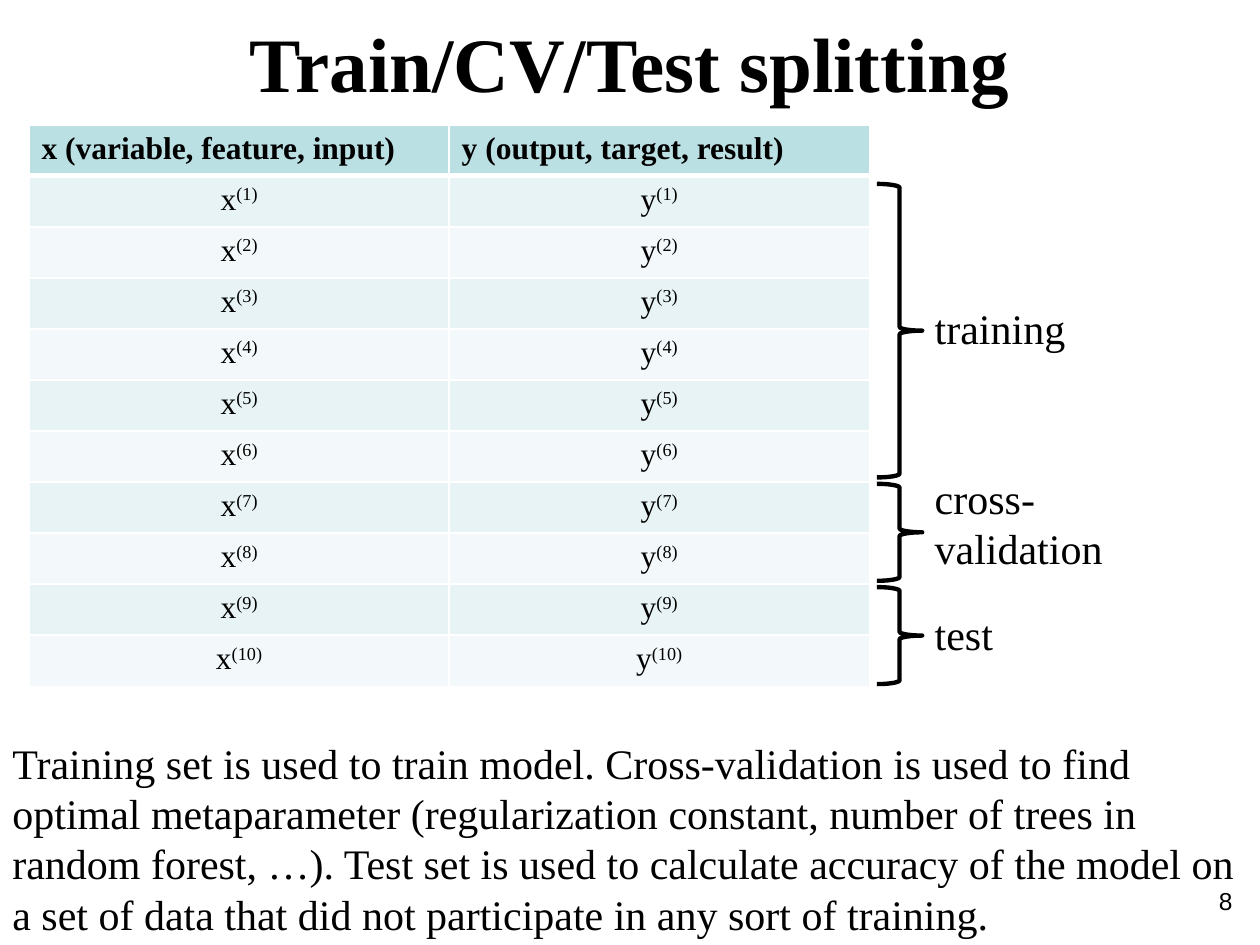
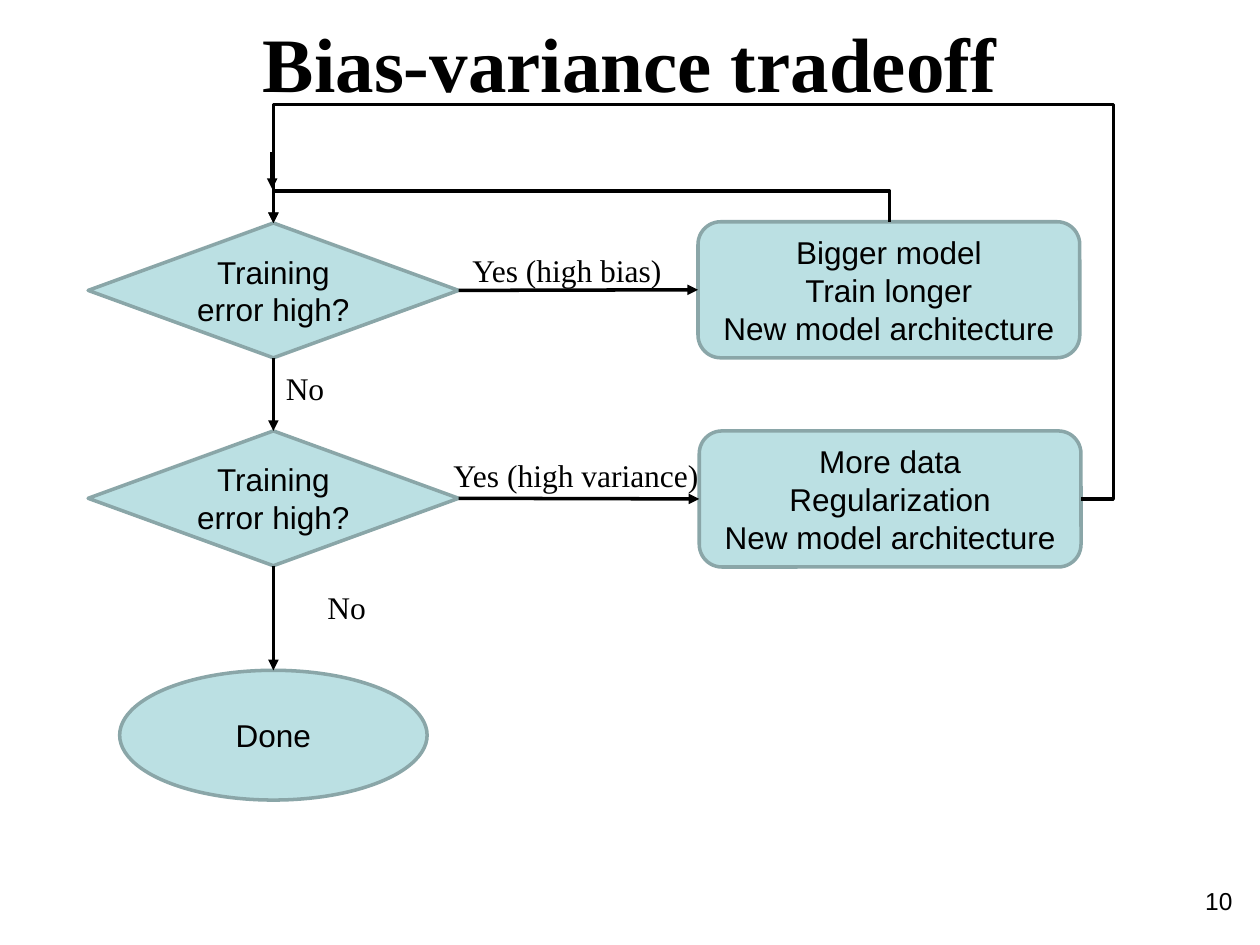
from dataclasses import dataclass

from lxml import etree
from pptx import Presentation
from pptx.dml.color import RGBColor
from pptx.enum.shapes import MSO_CONNECTOR, MSO_SHAPE
from pptx.enum.text import MSO_ANCHOR, MSO_AUTO_SIZE, PP_ALIGN
from pptx.oxml.ns import qn
from pptx.shapes.autoshape import Shape
from pptx.shapes.connector import Connector
from pptx.slide import Slide
from pptx.table import _Cell
from pptx.text.text import _Paragraph
from pptx.util import Inches, Pt

LEFT, CENTER, RIGHT = PP_ALIGN.LEFT, PP_ALIGN.CENTER, PP_ALIGN.RIGHT
TOP, MIDDLE = MSO_ANCHOR.TOP, MSO_ANCHOR.MIDDLE
DIAMOND, ELLIPSE = MSO_SHAPE.DIAMOND, MSO_SHAPE.OVAL
ROUNDED, BRACE = MSO_SHAPE.ROUNDED_RECTANGLE, MSO_SHAPE.RIGHT_BRACE
STRAIGHT, ELBOW = MSO_CONNECTOR.STRAIGHT, MSO_CONNECTOR.ELBOW
SITE_TOP, SITE_BOTTOM, SITE_RIGHT, SITE_LEFT = 0, 2, 3, 1

COLORS = {
    "ink": "000000",
    "grid": "FFFFFF",
    "accent": "BBE0E3",
    "outline": "8AA6A8",
    "band_dark": "E7F3F4",
    "band_light": "F3F9FA",
}
SERIF, SANS = "Times New Roman", "Arial"
TITLE_ONLY_LAYOUT = 5


@dataclass(frozen=True)
class Box:
    """A rectangle in inches."""
    left: float
    top: float
    width: float
    height: float

    def lengths(self) -> tuple:
        """Return the four lengths for python-pptx."""
        return tuple(Inches(v) for v in
                     (self.left, self.top, self.width, self.height))


@dataclass(frozen=True)
class Subset:
    """A part of the data set: its brace and its label."""
    name: str
    brace_top: float
    brace_height: float
    label_top: float
    label_height: float


@dataclass(frozen=True)
class Step:
    """A node of the flowchart."""
    kind: int
    box: Box
    lines: tuple[str, ...]


@dataclass(frozen=True)
class Caption:
    """A label beside a flowchart arrow."""
    text: str
    box: Box


@dataclass(frozen=True)
class Route:
    """Geometry of an elbow arrow that loops back."""
    preset: str
    box: Box
    turn: int
    bends: tuple[float, ...]


def color(name: str) -> RGBColor:
    """Look up a palette colour."""
    return RGBColor.from_string(COLORS[name])


def add_run(paragraph: _Paragraph, text: str, size: float, font: str = SERIF,
            bold: bool = False, raised: bool = False) -> None:
    """Append one formatted run, as a superscript if raised."""
    run = paragraph.add_run()
    run.text = text
    run.font.size, run.font.name, run.font.bold = Pt(size), font, bold
    run.font.color.rgb = color("ink")
    if raised:
        run._r.get_or_add_rPr().set("baseline", "30000")


def add_text(slide: Slide, box: Box, text: str, size: float,
             font: str = SERIF, align: int = LEFT) -> None:
    """Place a wrapping text box with one paragraph."""
    frame = slide.shapes.add_textbox(*box.lengths()).text_frame
    frame.word_wrap = True
    frame.paragraphs[0].alignment = align
    add_run(frame.paragraphs[0], text, size, font)


def add_page(deck: Presentation, title: str, number: int) -> Slide:
    """Add a slide with the shared title and page number."""
    slide = deck.slides.add_slide(deck.slide_layouts[TITLE_ONLY_LAYOUT])
    heading = slide.shapes.title
    heading.left, heading.top, heading.width, heading.height = Box(
        0, 0.07, 10, 0.84).lengths()
    frame = heading.text_frame
    frame.auto_size, frame.vertical_anchor = MSO_AUTO_SIZE.NONE, TOP
    frame.paragraphs[0].alignment = CENTER
    add_run(frame.paragraphs[0], title, 44, bold=True)
    add_text(slide, Box(7.55, 6.98, 2.33, 0.52), str(number), 14, SANS, RIGHT)
    return slide


def style_cell(cell: _Cell, fill: str, top: float, bottom: float) -> None:
    """Fill a cell and give it white borders, widths in points."""
    cell.fill.solid()
    cell.fill.fore_color.rgb = color(fill)
    properties = cell._tc.get_or_add_tcPr()
    widths = {"lnL": 1, "lnR": 1, "lnT": top, "lnB": bottom}
    for position, (side, width) in enumerate(widths.items()):
        border = etree.Element(qn(f"a:{side}"), w=str(Pt(width)))
        paint = etree.SubElement(border, qn("a:solidFill"))
        etree.SubElement(paint, qn("a:srgbClr"), val=COLORS["grid"])
        properties.insert(position, border)


def add_samples(slide: Slide, box: Box, headers: dict[str, str],
                count: int) -> None:
    """Draw the table of numbered samples, one column per symbol."""
    table = slide.shapes.add_table(count + 1, len(headers),
                                   *box.lengths()).table
    for row in table.rows:
        row.height = Inches(box.height / (count + 1))
    for column, (symbol, header) in enumerate(headers.items()):
        head = table.cell(0, column)
        style_cell(head, "accent", 1, 3)
        add_run(head.text_frame.paragraphs[0], header, 18, bold=True)
        for index in range(1, count + 1):
            cell = table.cell(index, column)
            style_cell(cell, "band_dark" if index % 2 else "band_light",
                       3 if index == 1 else 1, 1)
            paragraph = cell.text_frame.paragraphs[0]
            paragraph.alignment = CENTER
            add_run(paragraph, symbol, 18)
            add_run(paragraph, f"({index})", 18, raised=True)


def add_subset(slide: Slide, subset: Subset) -> None:
    """Bracket the rows of a subset and label them."""
    brace = slide.shapes.add_shape(BRACE, *Box(
        6.96, subset.brace_top, 0.36, subset.brace_height).lengths())
    brace.shadow.inherit = False
    brace.fill.background()
    brace.line.color.rgb, brace.line.width = color("ink"), Pt(2.5)
    add_text(slide, Box(7.32, subset.label_top, 2.29, subset.label_height),
             subset.name, 24)


def add_step(slide: Slide, step: Step) -> Shape:
    """Draw a flowchart node with its lines of text."""
    node = slide.shapes.add_shape(step.kind, *step.box.lengths())
    node.shadow.inherit = False
    node.fill.solid()
    node.fill.fore_color.rgb = color("accent")
    node.line.color.rgb, node.line.width = color("outline"), Pt(2)
    frame = node.text_frame
    frame.word_wrap, frame.vertical_anchor = True, MIDDLE
    for index, line in enumerate(step.lines):
        paragraph = frame.add_paragraph() if index else frame.paragraphs[0]
        paragraph.alignment = CENTER
        add_run(paragraph, line, 18, SANS)
    return node


def add_arrow(slide: Slide, kind: int = STRAIGHT,
              ends: tuple[float, ...] = (0, 0, 0, 0)) -> Connector:
    """Draw a black arrow from x, y to x, y."""
    arrow = slide.shapes.add_connector(kind, *(Inches(v) for v in ends))
    arrow.line.color.rgb, arrow.line.width = color("ink"), Pt(2)
    etree.SubElement(arrow.line._get_or_add_ln(), qn("a:tailEnd"),
                     type="triangle")
    etree.SubElement(arrow._element.spPr, qn("a:effectLst"))
    return arrow


def link(slide: Slide, start: Shape, start_site: int, end: Shape,
         end_site: int, kind: int = STRAIGHT) -> Connector:
    """Join two nodes with an arrow glued to their sites."""
    arrow = add_arrow(slide, kind)
    arrow.begin_connect(start, start_site)
    arrow.end_connect(end, end_site)
    return arrow


def route_back(arrow: Connector, route: Route) -> None:
    """Bend an elbow arrow along a route that runs right to left."""
    arrow.left, arrow.top, arrow.width, arrow.height = route.box.lengths()
    properties = arrow._element.spPr
    frame = properties.find(qn("a:xfrm"))
    frame.set("rot", str(route.turn * 60000))
    frame.set("flipH", "1")
    frame.set("flipV", "1")
    geometry = properties.find(qn("a:prstGeom"))
    geometry.set("prst", route.preset)
    guides = geometry.find(qn("a:avLst"))
    if guides is None:
        guides = etree.SubElement(geometry, qn("a:avLst"))
    for index, bend in enumerate(route.bends, 1):
        etree.SubElement(guides, qn("a:gd"), name=f"adj{index}",
                         fmla=f"val {round(bend * 100000)}")


def build_splitting(deck: Presentation) -> None:
    """Build the slide on splitting the data set."""
    slide = add_page(deck, "Train/CV/Test splitting", 8)
    add_samples(slide, Box(0.23, 0.99, 6.67, 4.46),
                {"x": "x (variable, feature, input)",
                 "y": "y (output, target, result)"}, 10)
    for subset in (Subset("training", 1.46, 2.33, 2.35, 0.5),
                   Subset("cross-validation", 3.84, 0.77, 3.7, 0.91),
                   Subset("test", 4.66, 0.77, 4.78, 0.5)):
        add_subset(slide, subset)
    add_text(slide, Box(0, 5.8, 10, 1.72),
             "Training set is used to train model. Cross-validation is used "
             "to find optimal metaparameter (regularization constant, number "
             "of trees in random forest, …). Test set is used to calculate "
             "accuracy of the model on a set of data that did not "
             "participate in any sort of training.", 24)


def build_tradeoff(deck: Presentation) -> None:
    """Build the bias-variance flowchart slide."""
    slide = add_page(deck, "Bias-variance tradeoff", 10)
    question = ("Training error high?",)
    architecture = "New model architecture"
    bias_check, bias_fix, variance_check, variance_fix, done = (
        add_step(slide, step) for step in (
            Step(DIAMOND, Box(0.7, 1.77, 2.94, 1.07), question),
            Step(ROUNDED, Box(5.54, 1.76, 3.03, 1.08),
                 ("Bigger model", "Train longer", architecture)),
            Step(DIAMOND, Box(0.7, 3.42, 2.94, 1.07), question),
            Step(ROUNDED, Box(5.55, 3.42, 3.03, 1.08),
                 ("More data", "Regularization", architecture)),
            Step(ELLIPSE, Box(0.95, 5.32, 2.44, 1.03), ("Done",))))

    link(slide, bias_check, SITE_RIGHT, bias_fix, SITE_LEFT)
    link(slide, variance_check, SITE_RIGHT, variance_fix, SITE_LEFT)
    link(slide, bias_check, SITE_BOTTOM, variance_check, SITE_TOP)
    link(slide, variance_check, SITE_BOTTOM, done, SITE_TOP)
    add_arrow(slide, ends=(2.16, 1.21, 2.16, 1.5))

    retrain = link(slide, bias_fix, SITE_TOP, bias_check, SITE_TOP, ELBOW)
    route_back(retrain, Route("bentConnector3", Box(4.61, -0.68, 0.01, 4.89),
                              270, (-25,)))
    restart = link(slide, variance_fix, SITE_RIGHT, bias_check, SITE_TOP,
                   ELBOW)
    route_back(restart, Route("bentConnector4", Box(2.17, 1.77, 6.41, 2.19),
                              0, (-0.04, 1.43)))

    for caption in (
            Caption("Yes (high bias)", Box(3.65, 1.94, 1.9, 0.4)),
            Caption("No", Box(2.17, 2.88, 0.83, 0.4)),
            Caption("Yes (high variance)", Box(3.5, 3.57, 2.22, 0.4)),
            Caption("No", Box(2.5, 4.62, 0.83, 0.4))):
        add_text(slide, caption.box, caption.text, 18)


def main() -> None:
    """Build and save the deck."""
    deck = Presentation()
    deck.slide_width, deck.slide_height = Inches(10), Inches(7.5)
    build_splitting(deck)
    build_tradeoff(deck)
    deck.save("out.pptx")


main()
